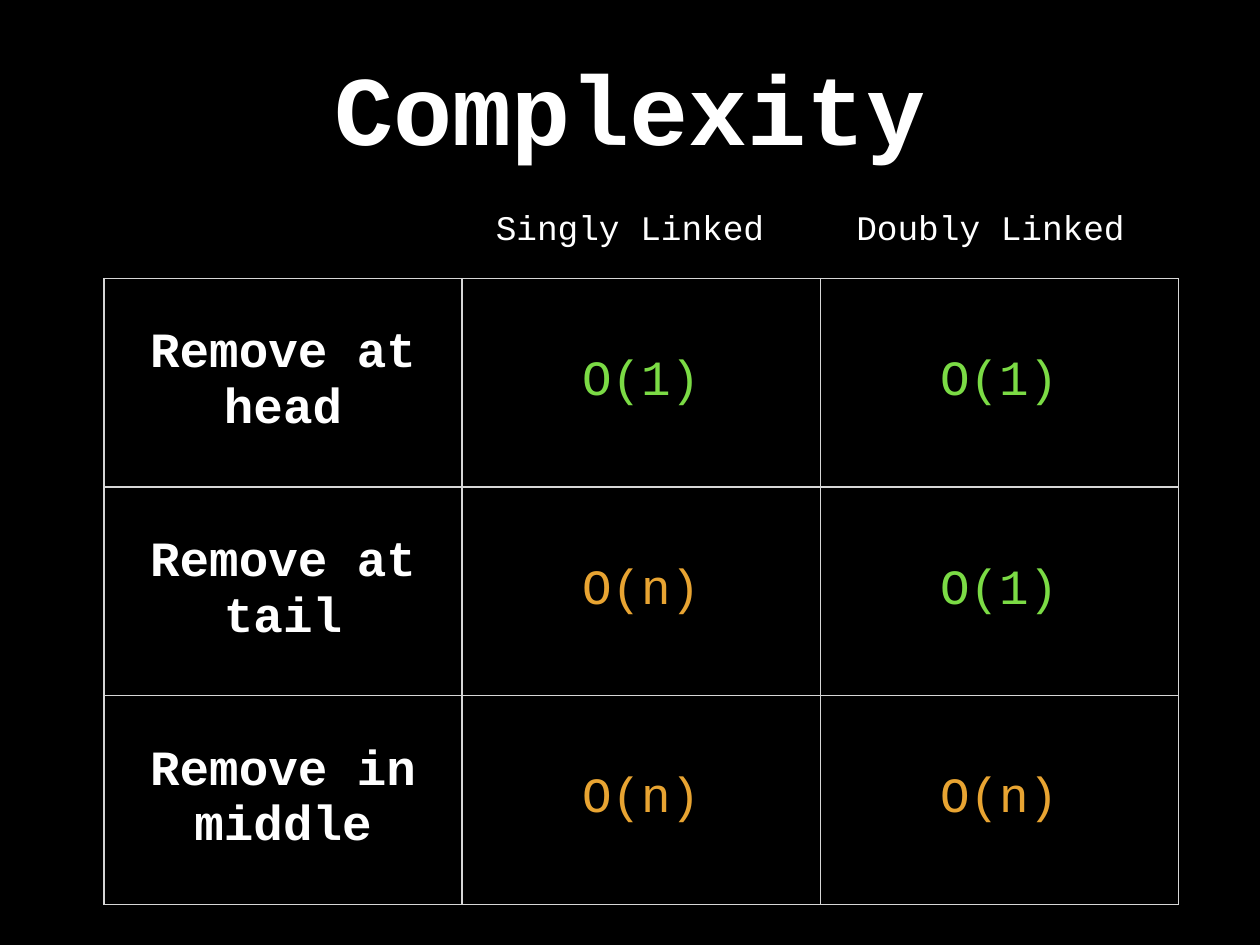
from lxml.etree import SubElement
from pptx import Presentation
from pptx.dml.color import RGBColor
from pptx.enum.text import MSO_ANCHOR as Anchor, MSO_AUTO_SIZE as AutoSize, PP_ALIGN as Align
from pptx.oxml.ns import qn
from pptx.util import Pt

BLACK, WHITE, GREEN, ORANGE, GREY = "000000", "FFFFFF", "7BDB45", "E8A432", "D6D6D6"
INSET = Pt(4)


def paint(color_format, color):
    """Fill or font colour from a hex string."""
    color_format.rgb = RGBColor.from_string(color)


def write(frame, text, size, color=WHITE, bold=False):
    """Put one centred line of text into a text frame."""
    para = frame.paragraphs[0]
    para.alignment = Align.CENTER
    span = para.add_run()
    span.text = text
    formats = {"name": "Courier New", "size": Pt(size), "bold": bold}
    for name, value in formats.items():
        setattr(span.font, name, value)
    paint(span.font.color, color)


deck = Presentation()
deck.slide_width, deck.slide_height = Pt(1024), Pt(768)
page = deck.slides.add_slide(deck.slide_layouts[5])
page.background.fill.solid()
paint(page.background.fill.fore_color, BLACK)

# Title and column headings
title = page.shapes.title
title.left, title.top, title.width, title.height = Pt(187), Pt(28), Pt(650), Pt(116)
headings = [(title, "Complexity", 80, True, AutoSize.NONE)]
for left, text in ((398, "Singly Linked"), (691, "Doubly Linked")):
    box = page.shapes.add_textbox(Pt(left), Pt(164), Pt(228), Pt(41))
    headings.append((box, text, 28, False, AutoSize.SHAPE_TO_FIT_TEXT))

for box, text, size, bold, auto_size in headings:
    frame_formats = {
        "margin_left": INSET, "margin_top": INSET,
        "margin_right": INSET, "margin_bottom": INSET,
        "vertical_anchor": Anchor.MIDDLE,
        "auto_size": auto_size, "word_wrap": box is title,
    }
    for name, value in frame_formats.items():
        setattr(box.text_frame, name, value)
    write(box.text_frame, text, size, bold=bold)

# Cost of each removal
costs = [
    ("Remove at head", "O(1)", "O(1)"),
    ("Remove at tail", "O(n)", "O(1)"),
    ("Remove in middle", "O(n)", "O(n)"),
]
cost_colors = {"O(1)": GREEN, "O(n)": ORANGE}
cell_formats = {
    "margin_left": INSET, "margin_top": INSET,
    "margin_right": INSET, "margin_bottom": INSET,
    "vertical_anchor": Anchor.MIDDLE,
}
table = page.shapes.add_table(3, 3, Pt(84.5), Pt(226.3), Pt(873), Pt(508.5)).table
table.first_row = table.horz_banding = False
for column in table.columns:
    column.width = Pt(291)
for row, texts in zip(table.rows, costs):
    row.height = Pt(169.5)
    for cell, text in zip(row.cells, texts):
        for name, value in cell_formats.items():
            setattr(cell, name, value)
        write(cell.text_frame, text, 40, cost_colors.get(text, WHITE), text not in cost_colors)
        properties = cell._tc.get_or_add_tcPr()
        for side in ("lnL", "lnR", "lnT", "lnB"):
            line = SubElement(properties, qn(f"a:{side}"), w=str(Pt(1)))
            line_fill = SubElement(line, qn("a:solidFill"))
            SubElement(line_fill, qn("a:srgbClr"), val=GREY)
        cell.fill.solid()
        paint(cell.fill.fore_color, BLACK)

deck.save("out.pptx")
